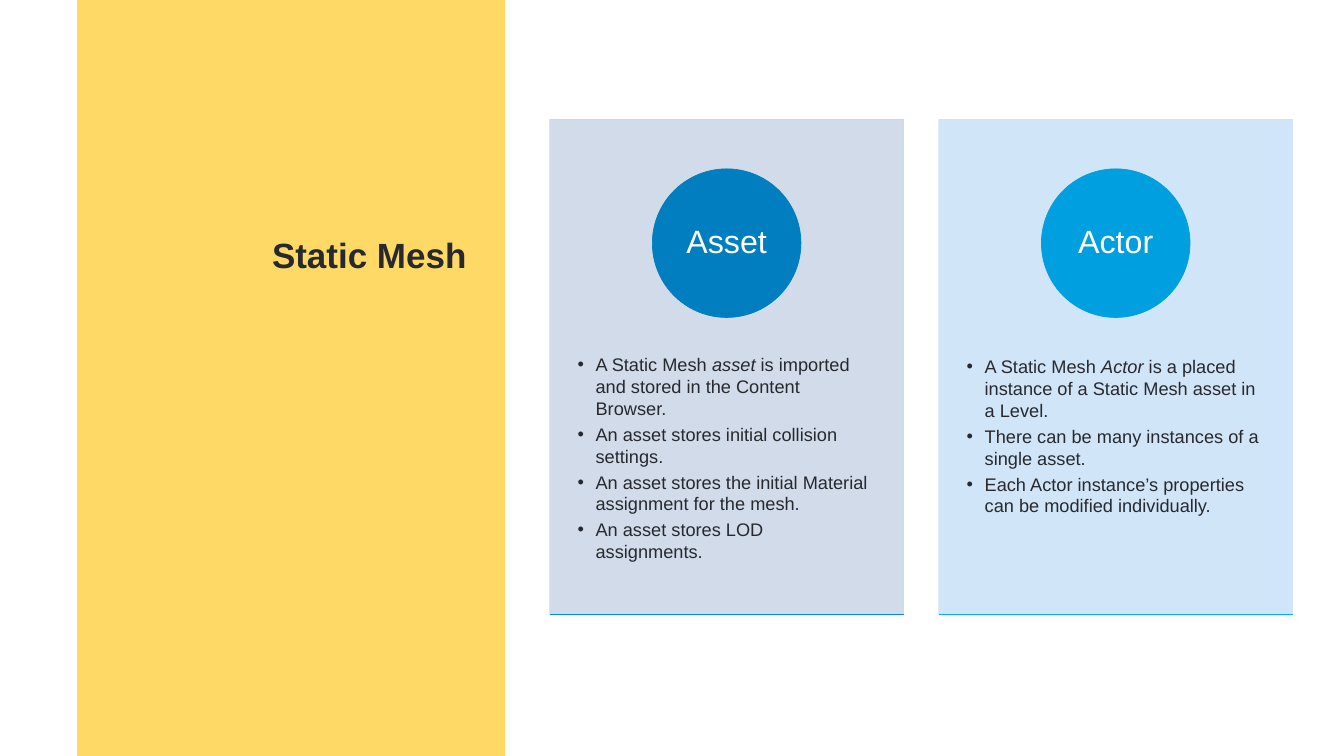
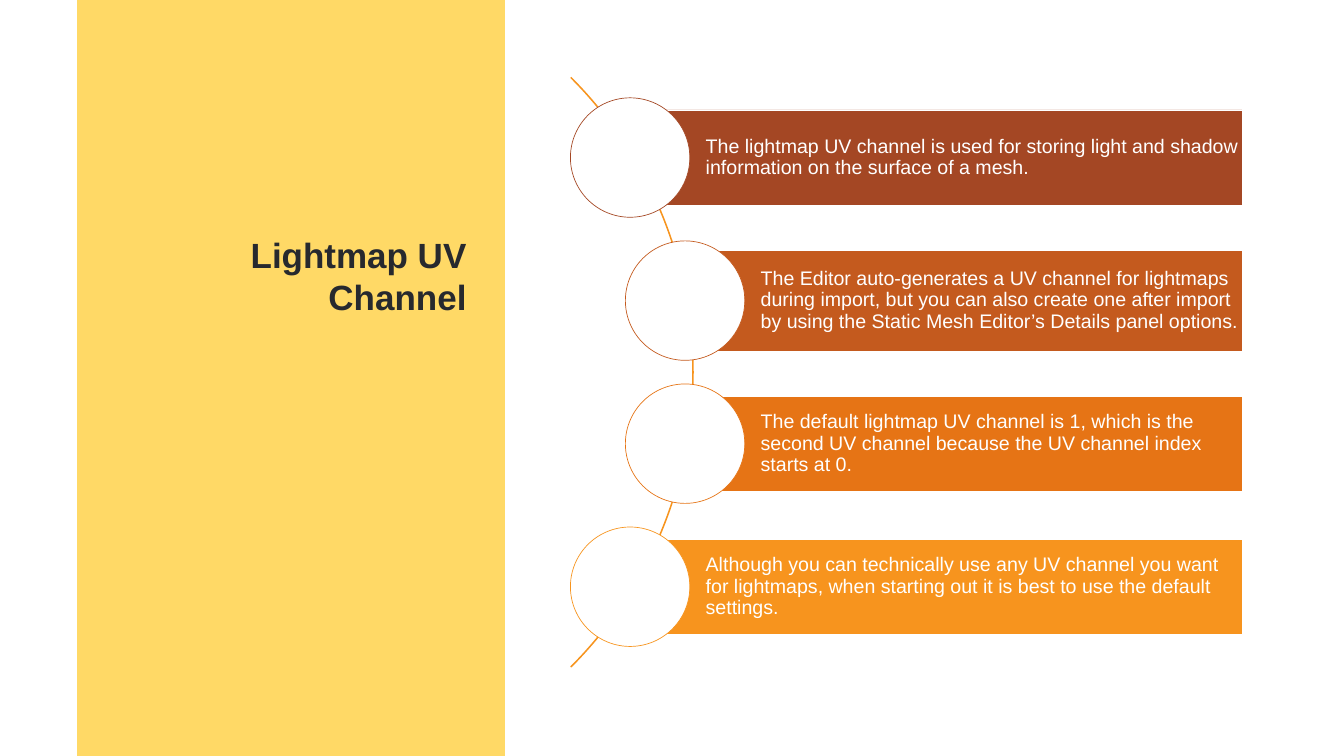
from dataclasses import dataclass

from lxml import etree
from pptx import Presentation
from pptx.dml.color import RGBColor
from pptx.enum.shapes import MSO_CONNECTOR, MSO_SHAPE
from pptx.enum.text import MSO_ANCHOR, PP_ALIGN
from pptx.oxml.ns import qn
from pptx.util import Cm, Pt

RECTANGLE = MSO_SHAPE.RECTANGLE
OVAL = MSO_SHAPE.OVAL
BLOCK_ARC = MSO_SHAPE.BLOCK_ARC
STRAIGHT = MSO_CONNECTOR.STRAIGHT
TOP = MSO_ANCHOR.TOP
MIDDLE = MSO_ANCHOR.MIDDLE
LEFT = PP_ALIGN.LEFT
CENTER = PP_ALIGN.CENTER
RIGHT = PP_ALIGN.RIGHT

FONT = "Arial"
INK = "27292E"
WHITE = "FFFFFF"
YELLOW = "FFD966"
ORANGE = "F7941E"

PAGE_WIDTH, PAGE_HEIGHT = 67.74, 38.1
CARD_LEFT, CARD_TOP, CARD_STEP = 27.71, 6.02, 19.61
CARD_WIDTH, CARD_HEIGHT = 17.83, 24.94
BADGE_TOP, BADGE_SIZE = 8.51, 7.49
BULLET_INDENT = 0.91
STEP_TOP, STEP_PITCH, STEP_SIZE = 4.93, 7.21, 6.02
BAR_RIGHT = 62.6


@dataclass
class Card:
    name: str
    panel: str
    badge: str
    rule: str
    text_top: float
    points: list[str]


@dataclass
class Step:
    left: float
    bar_height: float
    color: str
    text: str


CARDS = [
    Card("Asset", "CCD8E8", "007EBF", "008ECF", 17.81, [
        "A Static Mesh *asset* is imported and stored in the Content Browser.",
        "An asset stores initial collision settings.",
        "An asset stores the initial Material assignment for the mesh.",
        "An asset stores LOD assignments.",
    ]),
    Card("Actor", "CCE3F9", "009FE0", "00B0F0", 17.91, [
        "A Static Mesh *Actor* is a placed instance of a Static Mesh asset in a Level.",
        "There can be many instances of a single asset.",
        "Each Actor instance’s properties can be modified individually.",
    ]),
]

STEPS = [
    Step(28.75, 4.8, "A44724",
         "The lightmap UV channel is used for storing light and shadow "
         "information on the surface of a mesh."),
    Step(31.52, 5.08, "C45A1E",
         "The Editor auto-generates a UV channel for lightmaps during import, "
         "but you can also create one after import by using the Static Mesh "
         "Editor’s Details panel options."),
    Step(31.52, 4.8, "E67415",
         "The default lightmap UV channel is 1, which is the second UV channel "
         "because the UV channel index starts at 0."),
    Step(28.75, 4.8, ORANGE,
         "Although you can technically use any UV channel you want for lightmaps, "
         "when starting out it is best to use the default settings."),
]


def rgb(color: str) -> RGBColor:
    return RGBColor.from_string(color)


def add_bullet(para) -> None:
    properties = para._p.get_or_add_pPr()
    properties.set("marL", str(Cm(BULLET_INDENT)))
    properties.set("indent", str(-Cm(BULLET_INDENT)))
    etree.SubElement(properties, qn("a:buFont"), typeface=FONT)
    etree.SubElement(properties, qn("a:buChar"), char="•")


def write(box, paragraphs: list[str], *, size: float, color: str = INK,
          bold: bool = False, align=LEFT, anchor=TOP, spacing: float = 1.0,
          after: float = 0, bullets: bool = False,
          insets: tuple = (0, 0, 0, 0)) -> None:
    frame = box.text_frame
    frame.word_wrap = True
    frame.vertical_anchor = anchor
    (frame.margin_left, frame.margin_top,
     frame.margin_right, frame.margin_bottom) = map(Cm, insets)
    for index, text in enumerate(paragraphs):
        para = frame.add_paragraph() if index else frame.paragraphs[0]
        para.alignment = align
        para.line_spacing = spacing
        para.space_after = Pt(after)
        if bullets:
            add_bullet(para)
        for part, words in enumerate(text.split("*")):
            span = para.add_run()
            span.text = words
            span.font.name = FONT
            span.font.size = Pt(size)
            span.font.bold = bold
            span.font.italic = part % 2 == 1
            span.font.color.rgb = rgb(color)


def add_shape(page, kind, left: float, top: float, width: float, height: float,
              *, fill: str | None = None, line: str | None = None,
              opacity: int = 100):
    shape = page.shapes.add_shape(kind, Cm(left), Cm(top), Cm(width), Cm(height))
    shape.shadow.inherit = False
    if fill:
        shape.fill.solid()
        shape.fill.fore_color.rgb = rgb(fill)
    else:
        shape.fill.background()
    if line:
        shape.line.color.rgb = rgb(line)
        shape.line.width = Pt(1)
    else:
        shape.line.fill.background()
    if opacity < 100:
        for tint in shape._element.spPr.iter(qn("a:srgbClr")):
            etree.SubElement(tint, qn("a:alpha"), val=str(opacity * 1000))
    return shape


def add_text_box(page, left: float, top: float, width: float, height: float):
    return page.shapes.add_textbox(Cm(left), Cm(top), Cm(width), Cm(height))


def add_rule(page, left: float, top: float, width: float, color: str) -> None:
    rule = page.shapes.add_connector(
        STRAIGHT, Cm(left), Cm(top), Cm(left + width), Cm(top))
    rule.line.color.rgb = rgb(color)
    rule.line.width = Pt(1)
    etree.SubElement(rule._element.spPr, qn("a:effectLst"))


def add_page(deck, title: str):
    page = deck.slides.add_slide(deck.slide_layouts[6])
    add_shape(page, RECTANGLE, 3.89, 0, 21.56, PAGE_HEIGHT, fill=YELLOW)
    box = add_text_box(page, 5.56, 11.63, 18.21, 25.37)
    write(box, [title], size=50, bold=True, align=RIGHT,
          insets=(0.25, 0.13, 0.25, 0.13))
    return page


def draw_card(page, card: Card, left: float) -> None:
    add_shape(page, RECTANGLE, left, CARD_TOP, CARD_WIDTH, CARD_HEIGHT,
              fill=card.panel, line=card.panel, opacity=90)
    box = add_text_box(page, left, card.text_top, CARD_WIDTH, 12.5)
    write(box, card.points, size=26, after=6, bullets=True,
          insets=(1.4, 0, 1.57, 0))
    badge = add_shape(page, OVAL, left + (CARD_WIDTH - BADGE_SIZE) / 2, BADGE_TOP,
                      BADGE_SIZE, BADGE_SIZE, fill=card.badge, line=card.badge)
    write(badge, [card.name], size=46, color=WHITE, align=CENTER,
          anchor=MIDDLE, spacing=0.9)
    add_rule(page, left, CARD_TOP + CARD_HEIGHT, CARD_WIDTH, card.rule)


def draw_step(page, step: Step, top: float) -> None:
    bar_left = step.left + STEP_SIZE / 2
    bar_top = top + (STEP_SIZE - step.bar_height) / 2
    bar = add_shape(page, RECTANGLE, bar_left, bar_top, BAR_RIGHT - bar_left,
                    step.bar_height, fill=step.color, line=WHITE)
    write(bar, [step.text], size=28, color=WHITE, anchor=MIDDLE, spacing=0.9,
          insets=(3.81, 0.2, 0.1, 0.2))
    add_shape(page, OVAL, step.left, top, STEP_SIZE, STEP_SIZE,
              fill=WHITE, line=step.color)


def build_static_mesh(deck) -> None:
    page = add_page(deck, "Static Mesh")
    for index, card in enumerate(CARDS):
        draw_card(page, card, CARD_LEFT + index * CARD_STEP)


def build_lightmap(deck) -> None:
    page = add_page(deck, "Lightmap UV Channel")
    arc = add_shape(page, BLOCK_ARC, -7.09, -2.26, 42.04, 42.04, line=ORANGE)
    for index, value in enumerate((189, 27, 0.001)):
        arc.adjustments[index] = value
    for index, step in enumerate(STEPS):
        draw_step(page, step, STEP_TOP + index * STEP_PITCH)


def main() -> None:
    deck = Presentation()
    deck.slide_width = Cm(PAGE_WIDTH)
    deck.slide_height = Cm(PAGE_HEIGHT)
    build_static_mesh(deck)
    build_lightmap(deck)
    deck.save("out.pptx")


if __name__ == "__main__":
    main()
